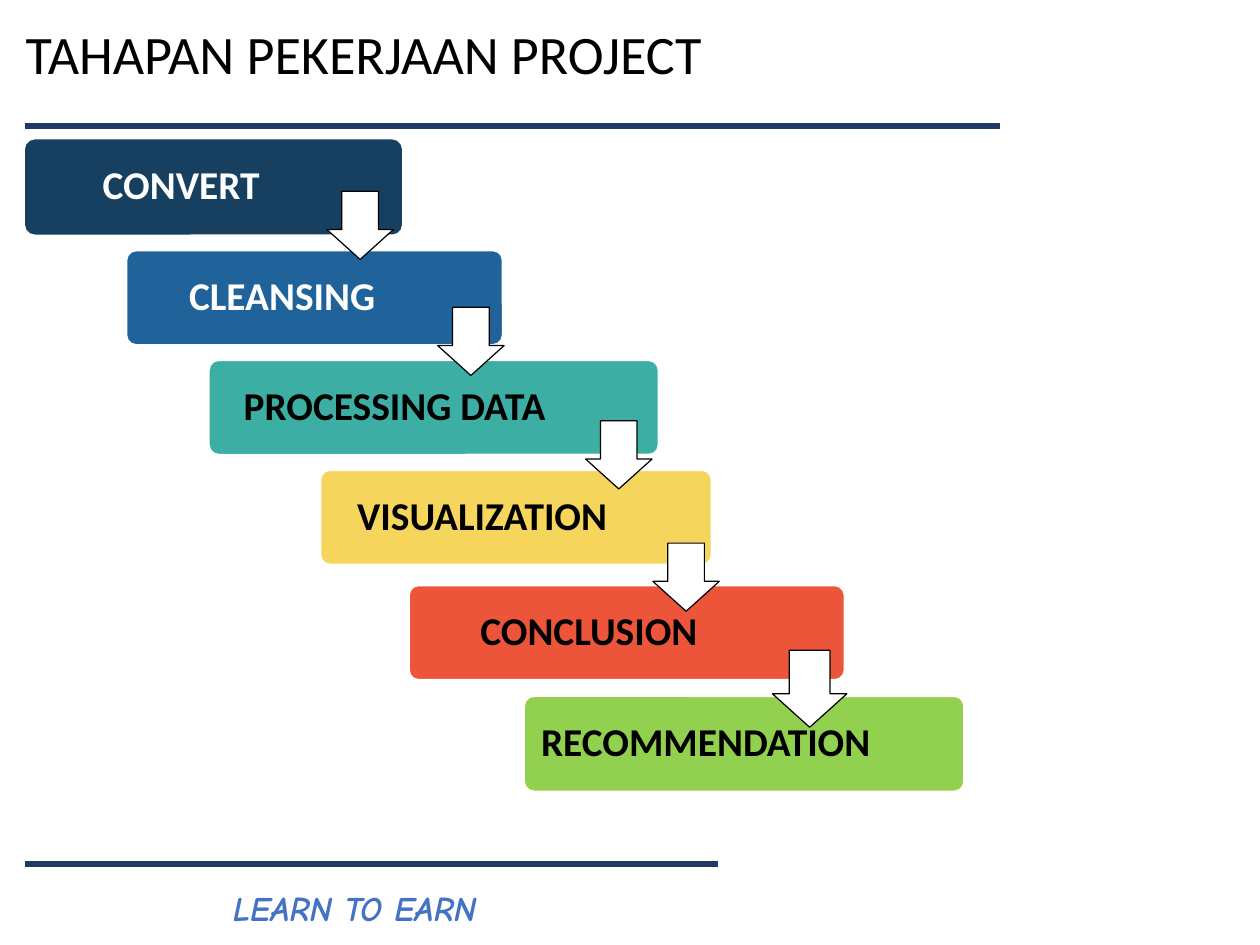
from dataclasses import dataclass

from lxml.etree import SubElement
from pptx import Presentation
from pptx.dml.color import RGBColor
from pptx.enum.shapes import MSO_CONNECTOR as Link, MSO_SHAPE as Form
from pptx.enum.text import MSO_ANCHOR as Anchor, MSO_AUTO_SIZE as Fit, PP_ALIGN as Align
from pptx.oxml.ns import qn
from pptx.util import Pt

TITLE = "TAHAPAN PEKERJAAN PROJECT"
MOTTO = "LEARN TO EARN"
STEPS = [
    ("CONVERT", "173F5F", "173F5F", "FFFFFF", (20.9, 113.8, 305.3, 76.3)),
    ("CLEANSING", "20639B", "FFFFFF", "FFFFFF", (103, 203.8, 305.3, 76.3)),
    ("PROCESSING DATA", "3CAEA3", "FFFFFF", "000000", (170, 293, 365, 76.3)),
    ("VISUALIZATION", "F6D55C", "FFFFFF", "000000", (260.6, 382.3, 317.5, 76.3)),
    ("CONCLUSION", "ED553B", "FFFFFF", "000000", (332.6, 476, 353.5, 76.3)),
    ("RECOMMENDATION", "92D050", "FFFFFF", "000000", (426.2, 566, 357.1, 77)),
]
ARROWS = [
    (265.7, 155.5, 54, 55.4),
    (355.7, 249.8, 54, 55.4),
    (475.9, 342, 54, 55.4),
    (530.6, 441.4, 54, 55.4),
    (627.8, 528.5, 60.5, 62.6),
]
RULES = [(20.2, 812.9, 102.2), (20.2, 583.2, 702)]


@dataclass(frozen=True)
class Theme:
    rule: str = "203864"
    motto: str = "4472C4"
    ink: str = "000000"
    paper: str = "FFFFFF"
    font: str = "Calibri"
    hand: str = "Comic Neue"
    head: float = 44
    label: float = 32
    foot: float = 28


theme = Theme()
INSET = 2.3
SHARE = 0.813


def rgb(code):
    return RGBColor.from_string(code)


def points(box):
    return [Pt(part) for part in box]


def write(shape, text, size, color, font=theme.font, bold=False, italic=False,
          align=Align.LEFT, anchor=Anchor.TOP, pad=(0, 0), gap=1.0):
    frame = shape.text_frame
    frame.word_wrap = True
    frame.auto_size = Fit.NONE
    frame.vertical_anchor = anchor
    frame.margin_left = frame.margin_right = Pt(pad[0])
    frame.margin_top = frame.margin_bottom = Pt(pad[1])
    para = frame.paragraphs[0]
    para.alignment = align
    para.line_spacing = gap
    run = para.add_run()
    run.text = text
    run.font.name = font
    run.font.size = Pt(size)
    run.font.bold = bold
    run.font.italic = italic
    run.font.color.rgb = rgb(color)


def draw(slide, form, box, fill, line, adjust):
    shape = slide.shapes.add_shape(form, *points(box))
    shape.shadow.inherit = False
    shape.fill.solid()
    shape.fill.fore_color.rgb = rgb(fill)
    shape.line.color.rgb = rgb(line)
    shape.line.width = Pt(1)
    for index, value in enumerate(adjust):
        shape.adjustments[index] = value


def rule(slide, left, right, top):
    line = slide.shapes.add_connector(Link.STRAIGHT, *points((left, top, right, top)))
    line.line.color.rgb = rgb(theme.rule)
    line.line.width = Pt(4.5)
    SubElement(line._element.spPr, qn("a:effectLst"))


def step(slide, text, fill, line, color, box):
    draw(slide, Form.ROUNDED_RECTANGLE, box, fill, line, [0.1])
    left, top, width, height = box
    area = (left + INSET, top + INSET, width * SHARE, height - 2 * INSET)
    label = slide.shapes.add_textbox(*points(area))
    write(label, text, theme.label, color, bold=True, align=Align.CENTER,
          anchor=Anchor.MIDDLE, pad=(9, 9), gap=0.9)


def main():
    deck = Presentation()
    deck.slide_width, deck.slide_height = Pt(1024), Pt(768)
    slide = deck.slides.add_slide(deck.slide_layouts[5])

    title = slide.shapes.title
    title.left, title.top, title.width, title.height = points((20.9, 22.3, 761.8, 63.4))
    write(title, TITLE, theme.head, theme.ink, gap=0.9)

    for ends in RULES:
        rule(slide, *ends)
    motto = slide.shapes.add_textbox(*points((182.2, 717.1, 311.8, 41)))
    write(motto, MOTTO, theme.foot, theme.motto, font=theme.hand,
          bold=True, italic=True, pad=(7.2, 3.6))

    for item in STEPS:
        step(slide, *item)
    for box in ARROWS:
        draw(slide, Form.DOWN_ARROW, box, theme.paper, theme.ink, [0.55, 0.45])

    deck.save("out.pptx")


if __name__ == "__main__":
    main()
